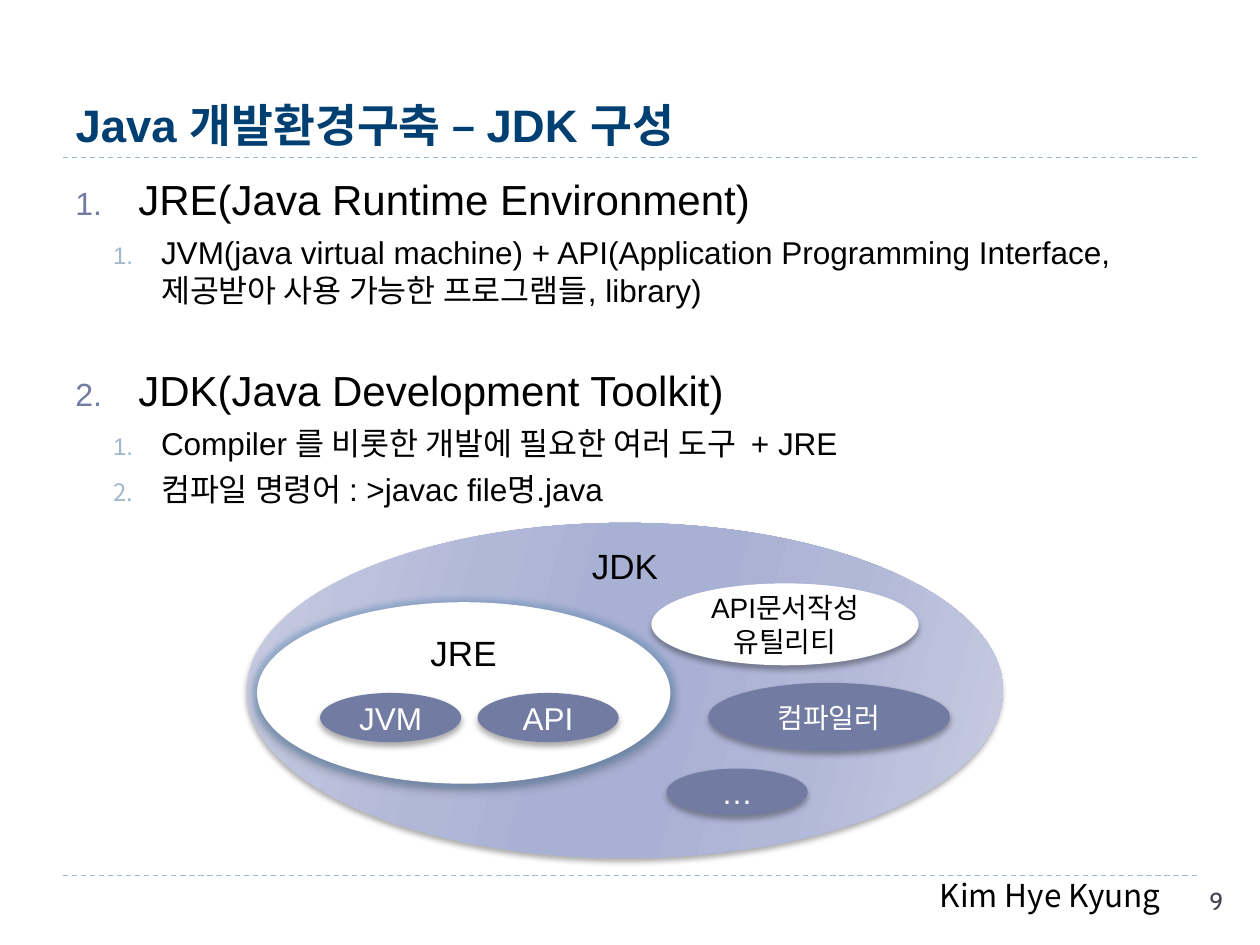
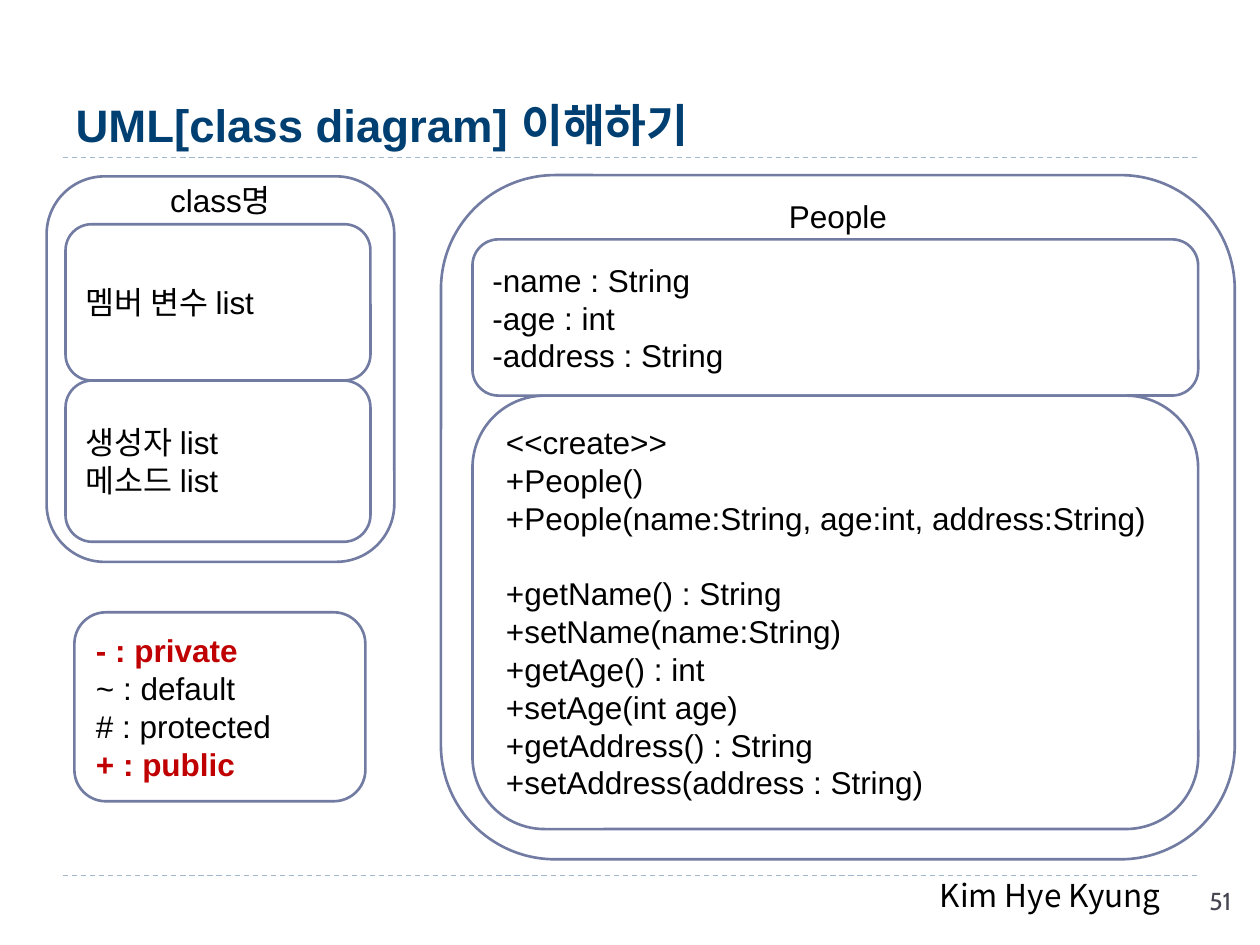
from lxml import etree
from pptx import Presentation
from pptx.dml.color import RGBColor
from pptx.enum.dml import MSO_LINE
from pptx.enum.shapes import MSO_CONNECTOR, MSO_SHAPE
from pptx.enum.text import MSO_ANCHOR, PP_ALIGN
from pptx.oxml.ns import qn
from pptx.util import Inches, Pt

ELLIPSE, ROUNDED = MSO_SHAPE.OVAL, MSO_SHAPE.ROUNDED_RECTANGLE
STRAIGHT, DASH = MSO_CONNECTOR.STRAIGHT, MSO_LINE.DASH
LEFT, CENTER = PP_ALIGN.LEFT, PP_ALIGN.CENTER
TOP, MIDDLE, BOTTOM = MSO_ANCHOR.TOP, MSO_ANCHOR.MIDDLE, MSO_ANCHOR.BOTTOM

BLACK = RGBColor(0x00, 0x00, 0x00)
WHITE = RGBColor(0xFF, 0xFF, 0xFF)
NAVY = RGBColor(0x00, 0x3F, 0x71)
SLATE = RGBColor(0x72, 0x7C, 0xA3)
PALE_BLUE = RGBColor(0x9F, 0xB8, 0xCD)
GLOW_BLUE = RGBColor(0x6F, 0x9B, 0xC4)
GRAY = RGBColor(0x46, 0x46, 0x53)
RED = RGBColor(0xC0, 0x00, 0x00)

LATIN, KOREAN, NUMBER_FONT = "Arial", "Noto Sans CJK KR", "Cabin"
JDK_STOPS = [(0, "C9CDE2"), (30, "B1B7D7"), (45, "A8B0D3"),
             (55, "A8B0D3"), (73, "B1B7D7"), (100, "C9CDE2")]
# Outline levels: size, space before, left margin, hanging indent, number colour
LEVELS = [(24, 6, 0.5, 0.5, SLATE), (18, 5, 0.68, 0.38, PALE_BLUE)]


def child(parent, tag, **attributes):
    node = etree.SubElement(parent, qn(tag))
    for name, value in attributes.items():
        node.set(name, str(value))
    return node


def place(shape, left, top, width, height):
    for name, value in zip(("left", "top", "width", "height"), (left, top, width, height)):
        setattr(shape, name, Inches(value))


def style_text(span, **changes):
    values = {"size": 18, "name": LATIN, "bold": False, "color": BLACK} | changes
    span.font.size = Pt(values.pop("size"))
    span.font.color.rgb = values.pop("color")
    for name, value in values.items():
        setattr(span.font, name, value)
    child(span.font._element, "a:ea", typeface=KOREAN)


def write(shape, lines, align=LEFT, anchor=MIDDLE, **style):
    """Each line is a string or a (string, style, space before) tuple."""
    frame = shape.text_frame
    frame.word_wrap, frame.vertical_anchor = True, anchor
    for index, line in enumerate(lines):
        text, changes, gap = (line, {}, 0) if isinstance(line, str) else line
        para = frame.add_paragraph() if index else frame.paragraphs[0]
        para.alignment, para.space_before = align, Pt(gap)
        span = para.add_run()
        span.text = text
        style_text(span, **(style | changes))


def text_box(page, box, lines, **style):
    shape = page.shapes.add_textbox(*map(Inches, box))
    write(shape, lines, **style)
    return shape


def label(page, center_x, center_y, text, size):
    width, height = 2, 0.32
    shape = text_box(page, (center_x - width / 2, center_y - height / 2, width, height),
                     [text], align=CENTER, size=size)
    for side in ("left", "top", "right", "bottom"):
        setattr(shape.text_frame, f"margin_{side}", 0)


def rule(page, y):
    line = page.shapes.add_connector(STRAIGHT, Inches(0.5), Inches(y), Inches(9.5), Inches(y))
    line.line.color.rgb, line.line.width, line.line.dash_style = PALE_BLUE, Pt(0.75), DASH
    child(line._element.spPr, "a:effectLst")


def add_page(deck, title, number):
    """Title, dashed rules and footer shared by every slide."""
    page = deck.slides.add_slide(deck.slide_layouts[5])
    rule(page, 6.95)
    rule(page, 1.25)
    place(page.shapes.title, 0.5, 0.17, 9, 1.08)
    write(page.shapes.title, [title], anchor=BOTTOM, size=26, bold=True, color=NAVY)
    text_box(page, (7.36, 6.9, 2.1, 0.4), ["Kim Hye Kyung"], anchor=TOP, name=KOREAN)
    text_box(page, (9.5, 6.98, 0.5, 0.4), [number], anchor=TOP,
             size=14, name=NUMBER_FONT, color=GRAY)
    return page


def numbered_outline(page, box, items):
    """Items are (level, text, extra space before)."""
    lines = [(text, {"size": LEVELS[level][0]}, LEVELS[level][1] + extra)
             for level, text, extra in items]
    shape = text_box(page, box, lines, anchor=TOP)
    for para, (level, _, _) in zip(shape.text_frame.paragraphs, items):
        _, _, margin, hang, color = LEVELS[level]
        para.level = level
        props = para._p.get_or_add_pPr()
        props.set("marL", str(Inches(margin)))
        props.set("indent", str(-Inches(hang)))
        child(child(props, "a:buClr"), "a:srgbClr", val=color)
        child(props, "a:buSzPct", val=76000)
        child(props, "a:buFont", typeface=LATIN)
        child(props, "a:buAutoNum", type="arabicPeriod")


def add_effects(shape, glow):
    effects = shape._element.spPr.find(qn("a:effectLst"))
    if glow:
        halo = child(effects, "a:glow", rad=Pt(5))
        child(child(halo, "a:srgbClr", val=GLOW_BLUE), "a:alpha", val=40000)
    shadow = child(effects, "a:outerShdw", blurRad=Pt(3.5), dist=Pt(2.2),
                   dir=90 * 60000, rotWithShape=0)
    child(child(shadow, "a:srgbClr", val=BLACK), "a:alpha", val=32000)


def ellipse(page, box, fill, glow=False):
    shape = page.shapes.add_shape(ELLIPSE, *map(Inches, box))
    shape.shadow.inherit = False
    shape.line.fill.background()
    shape.fill.solid()
    shape.fill.fore_color.rgb = fill
    add_effects(shape, glow)
    return shape


def shade(shape, stops, angle):
    shape.fill.gradient()
    gradient = shape._element.spPr.find(qn("a:gradFill"))
    for node in list(gradient):
        gradient.remove(node)
    stop_list = child(gradient, "a:gsLst")
    for position, color in stops:
        child(child(stop_list, "a:gs", pos=position * 1000), "a:srgbClr", val=color)
    child(gradient, "a:lin", ang=angle * 60000, scaled=0)


def jdk_diagram(page, box):
    left, top, width, height = box
    shade(ellipse(page, box, SLATE), JDK_STOPS, 16)
    label(page, left + width / 2, top + 0.34, "JDK", 20)

    # Runtime inside the kit
    ellipse(page, (left + 0.08, top + 0.63, 3.28, 1.44), WHITE, glow=True)
    label(page, left + 1.72, top + 1.03, "JRE", 20)

    # Parts: offset and size, text, text size, fill, text colour
    parts = [
        ((0.58, 1.35, 1.12, 0.39), "JVM", 18, SLATE, WHITE),
        ((1.83, 1.35, 1.12, 0.39), "API", 18, SLATE, WHITE),
        ((3.66, 1.27, 1.92, 0.54), "컴파일러", 16, SLATE, WHITE),
        ((3.33, 1.95, 1.12, 0.37), "…", 18, SLATE, WHITE),
        ((3.21, 0.48, 2.12, 0.65), "API문서작성 유틸리티", 16, WHITE, BLACK),
    ]
    for (x, y, part_width, part_height), text, size, fill, color in parts:
        part = ellipse(page, (left + x, top + y, part_width, part_height), fill)
        write(part, [text], align=CENTER, size=size, color=color)


def rounded_box(page, box, lines=()):
    shape = page.shapes.add_shape(ROUNDED, *map(Inches, box))
    shape.shadow.inherit = False
    shape.fill.solid()
    shape.fill.fore_color.rgb = WHITE
    shape.line.color.rgb, shape.line.width = SLATE, Pt(1.5)
    write(shape, lines)


def class_box(page, box, name, name_y, inset, header, compartments):
    """Compartments are (height, lines), stacked below the class name."""
    left, top, width, _ = box
    rounded_box(page, box)
    label(page, left + width / 2, top + name_y, name, 18)
    y = top + header
    for height, lines in compartments:
        rounded_box(page, (left + inset, y, width - 2 * inset - 0.04, height), lines)
        y += height


def build_jdk_page(deck):
    page = add_page(deck, "Java 개발환경구축 – JDK 구성", "9")
    numbered_outline(page, (0.5, 1.33, 9, 5.4), [
        (0, "JRE(Java Runtime Environment)", 0),
        (1, "JVM(java virtual machine) + API(Application Programming Interface, "
            "제공받아 사용 가능한 프로그램들, library)", 0),
        (0, "JDK(Java Development Toolkit)", 26),
        (1, "Compiler 를 비롯한 개발에 필요한 여러 도구  + JRE", 0),
        (1, "컴파일 명령어 : >javac file명.java", 0),
    ])
    jdk_diagram(page, (1.96, 4.15, 6, 2.66))


def build_uml_page(deck):
    page = add_page(deck, "UML[class diagram] 이해하기", "51")
    class_box(page, (3.5, 1.39, 6.3, 5.43), "People", 0.32, 0.25, 0.51, [
        (1.24, ["-name : String", "-age : int", "-address : String"]),
        (3.44, ["<<create>>", "+People()",
                "+People(name:String, age:int, address:String)",
                ("+getName() : String", {}, 21.5), "+setName(name:String)",
                "+getAge() : int", "+setAge(int age)",
                "+getAddress() : String", "+setAddress(address : String)"]),
    ])
    class_box(page, (0.37, 1.4, 2.76, 3.06), "class명", 0.19, 0.15, 0.38, [
        (1.24, ["멤버 변수 list"]),
        (1.28, ["생성자 list", "메소드 list"]),
    ])
    # Visibility legend
    strong = {"bold": True, "color": RED}
    rounded_box(page, (0.59, 4.86, 2.31, 1.5), [
        ("- : private", strong, 0), "~ : default", "# : protected", ("+ : public", strong, 0)])


def main():
    deck = Presentation()
    deck.slide_width, deck.slide_height = Inches(10), Inches(7.5)
    build_jdk_page(deck)
    build_uml_page(deck)
    deck.save("out.pptx")


if __name__ == "__main__":
    main()
